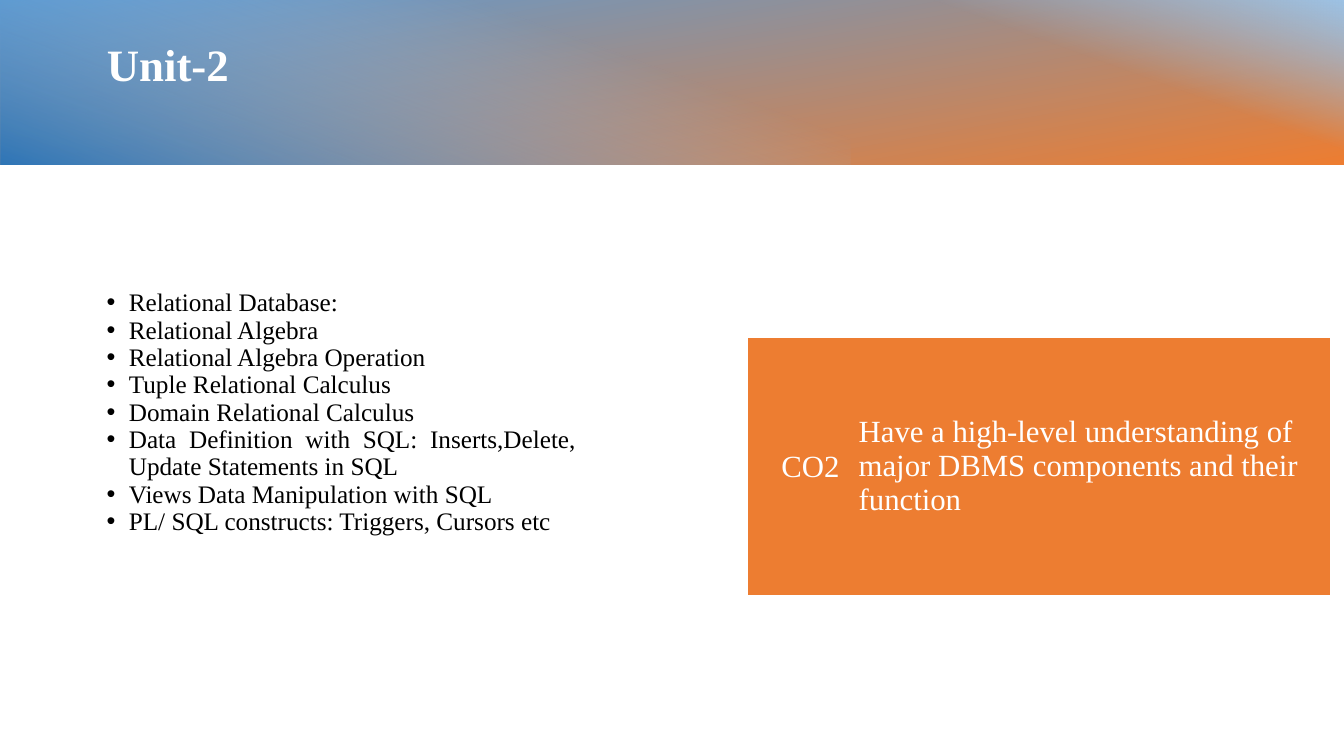
from lxml import etree
from pptx import Presentation, util as u
from pptx.dml.color import RGBColor
from pptx.enum import shapes, text
from pptx.oxml import parse_xml
from pptx.oxml.ns import qn

WHITE = RGBColor(0xFF, 0xFF, 0xFF)
BLACK = RGBColor(0, 0, 0)
BLUE = RGBColor(0x5B, 0x9B, 0xD5)
DEEP = RGBColor(0x2E, 0x75, 0xB6)
PALE = RGBColor(0x9D, 0xC3, 0xE6)
ORANGE = RGBColor(0xED, 0x7D, 0x31)

FONT = "Times New Roman"
SPACE = "http://schemas.openxmlformats.org/drawingml/2006/main"
PLAIN = "{2D5ABB26-0587-4C30-8999-92F81FD0307C}"  # table style without borders

TOPICS = [
    "Relational Database:",
    "Relational Algebra",
    "Relational Algebra Operation",
    "Tuple Relational Calculus",
    "Domain Relational Calculus",
    "Data Definition with SQL: Inserts,Delete, Update Statements in SQL",
    "Views Data Manipulation with SQL",
    "PL/ SQL constructs: Triggers, Cursors etc",
]


class Deck:
    """Style and current slide; lengths are percent of the slide's size."""

    def __init__(self):
        self.prs = Presentation()
        self.prs.slide_width = u.Inches(13.33)
        self.prs.slide_height = u.Inches(7.5)
        self.slide = self.prs.slides.add_slide(self.prs.slide_layouts[5])
        self.shapes = self.slide.shapes

    def box(self, left, top, width, height):
        wide, high = self.prs.slide_width / 100, self.prs.slide_height / 100
        return [round(n) for n in (left * wide, top * high, width * wide, height * high)]

    def style(self, para, size, color, bold=False, align=text.PP_ALIGN.LEFT):
        para.alignment = align
        for run in para.runs:
            font = run.font
            font.name, font.size, font.bold = FONT, u.Pt(size), bold
            font.color.rgb = color

    def title(self, words, *area):
        title = self.shapes.title
        title.left, title.top, title.width, title.height = self.box(*area)
        frame = title.text_frame
        frame.text = words
        frame.vertical_anchor = text.MSO_ANCHOR.TOP
        frame.margin_top = u.Inches(0.09)
        frame.paragraphs[0].line_spacing = 0.9
        self.style(frame.paragraphs[0], 32, WHITE, bold=True)

    def banner(self, height, layers):
        group = self.shapes.add_group_shape()
        for layer in layers:
            self.layer(group, height, *layer)
        self.shapes._spTree.insert(2, group._element)

    def layer(self, group, height, left, width, turn, angle, stops):
        x, y, w, h = self.box(left, 0, width, height)
        # A quarter turn swaps width and height around the centre
        rect = group.shapes.add_shape(
            shapes.MSO_SHAPE.RECTANGLE, x + (w - h) // 2, y + (h - w) // 2, h, w)
        rect.rotation = turn
        rect.shadow.inherit = False
        rect.line.fill.background()
        marks = "".join(
            f'<a:gs pos="{pos * 1000}"><a:srgbClr val="{color}">'
            f'<a:alpha val="{alpha * 1000}"/></a:srgbClr></a:gs>'
            for pos, color, alpha in stops)
        rect._element.spPr.insert(2, parse_xml(
            f'<a:gradFill xmlns:a="{SPACE}" rotWithShape="1"><a:gsLst>{marks}</a:gsLst>'
            f'<a:lin ang="{angle * 60000}" scaled="0"/></a:gradFill>'))

    def bullets(self, items, *area):
        frame = self.shapes.add_textbox(*self.box(*area)).text_frame
        frame.word_wrap = True
        for row, item in enumerate(items):
            para = frame.add_paragraph() if row else frame.paragraphs[0]
            para.text = item
            props = para._p.get_or_add_pPr()
            props.set("marL", str(u.Inches(0.22)))
            props.set("indent", str(-u.Inches(0.22)))
            etree.SubElement(props, qn("a:buFont")).set("typeface", "Arial")
            etree.SubElement(props, qn("a:buChar")).set("char", "•")
            para.line_spacing = 0.9
            para.space_before = u.Pt(0.1 if row else 0)
            self.style(para, 18, BLACK, align=text.PP_ALIGN.JUSTIFY)

    def outcome(self, code, words, share, *area):
        table = self.shapes.add_table(1, 2, *self.box(*area)).table
        table.first_row = table.horz_banding = False
        table._tbl.tblPr.find(qn("a:tableStyleId")).text = PLAIN
        full = self.box(*area)[2]
        sides = text.PP_ALIGN.RIGHT, text.PP_ALIGN.LEFT
        pads = (0.02, 0.13, 0.02, 0), (0.06, 0, 0, 0)
        for col, (part, line) in enumerate(zip((share, 1 - share), (code, words))):
            table.columns[col].width = round(full * part)
            cell = table.cell(0, col)
            cell.text = line
            cell.fill.solid()
            cell.fill.fore_color.rgb = ORANGE
            cell.vertical_anchor = text.MSO_ANCHOR.MIDDLE
            (cell.margin_left, cell.margin_right,
             cell.margin_top, cell.margin_bottom) = map(u.Inches, pads[col])
            self.style(cell.text_frame.paragraphs[0], 22, WHITE, align=sides[col])


def main():
    deck = Deck()
    # Banner of three gradient layers: left, width, turn, angle, stops
    deck.banner(21.8, [
        (0, 100, 270, 170, [(0, BLUE, 100), (100, ORANGE, 100)]),
        (58.5, 41.5, 270, 20, [(59, PALE, 0), (100, PALE, 100)]),
        (0, 63.3, 90, 20, [(29, PALE, 0), (100, DEEP, 100)]),
    ])
    deck.title("Unit-2", 7.2, 4.4, 86, 14.67)
    # Topics of the unit
    deck.bullets(TOPICS, 7.2, 37.7, 36.4, 36)
    # Course outcome
    deck.outcome("CO2", "Have a high-level understanding of major DBMS components "
                 "and their function", 0.18, 55.65, 44.67, 43.3, 34)
    deck.prs.save("out.pptx")


if __name__ == "__main__":
    main()
